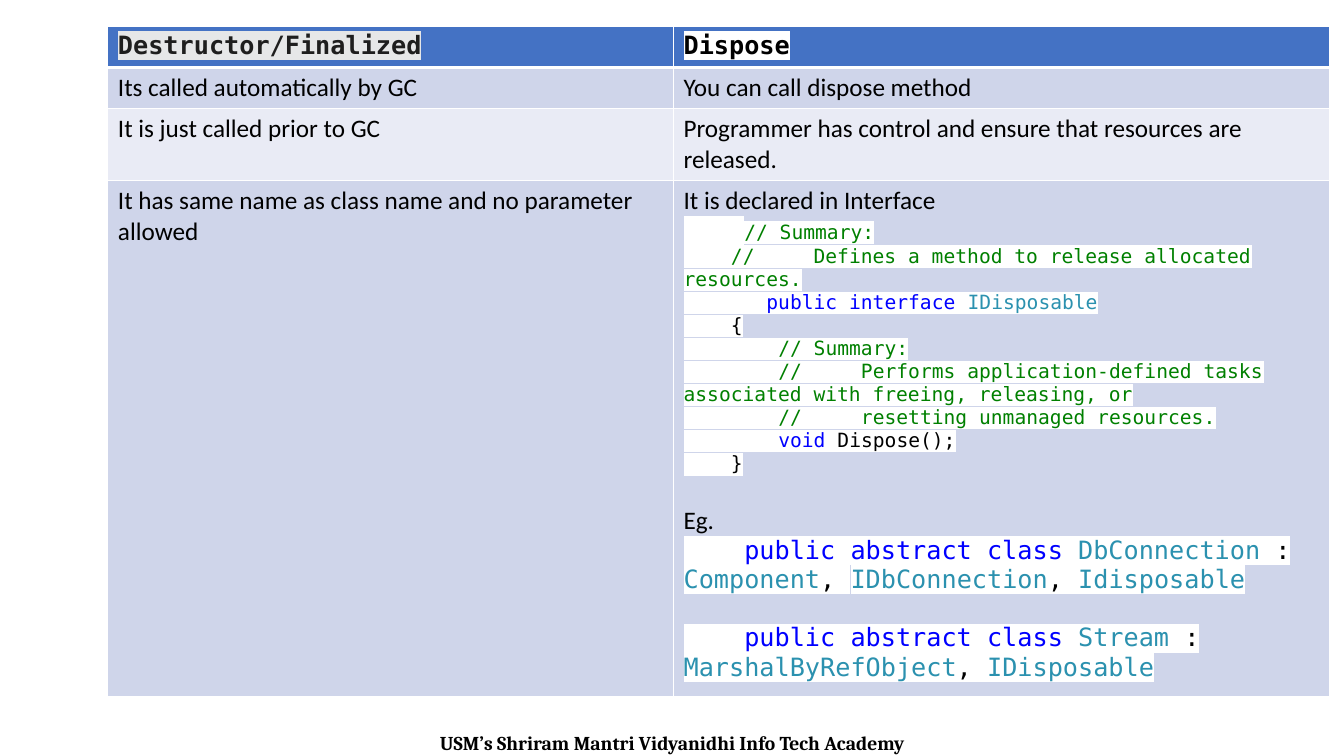
from dataclasses import dataclass
from itertools import product

from lxml import etree
from pptx import Presentation
from pptx import util as u
from pptx.dml.color import RGBColor
from pptx.enum import text
from pptx.oxml.ns import qn


@dataclass(frozen=True)
class Theme:
    body_font: str = "Calibri"
    code_font: str = "DejaVu Sans Mono"
    footer_font: str = "Cambria"
    body_size: int = 18
    code_size: int = 14
    footer_size: int = 14
    black: str = "000000"
    white: str = "FFFFFF"
    heading: str = "1E1E1E"
    heading_highlight: str = "E6E7E8"
    comment: str = "008000"
    keyword: str = "0000FF"
    type_name: str = "2B91AF"
    header_fill: str = "4472C4"
    dark_band: str = "CFD5EA"
    light_band: str = "E9EBF5"


THEME = Theme()


@dataclass(frozen=True)
class Span:
    words: str
    color: str = THEME.black
    font: str = THEME.body_font
    size: int = THEME.body_size
    bold: bool = False
    highlight: str = ""


@dataclass(frozen=True)
class Line:
    spans: list[Span]
    space_before: int = 0


def code(words: str, color: str = THEME.black, size: int = THEME.code_size) -> Span:
    return Span(words, color, THEME.code_font, size, highlight=THEME.white)


def comment(indent: int, words: str, indent_size: int = THEME.code_size) -> Line:
    return Line([code(" " * indent, size=indent_size), code(words, THEME.comment)])


def heading(words: str, color: str, highlight: str) -> list[Line]:
    return [Line([Span(words, color, THEME.code_font, bold=True, highlight=highlight)])]


def body(words: str, space_before: int = 0) -> Line:
    return Line([Span(words)], space_before)


def class_declaration(name: str, bases: list[str], space_before: int = 0) -> Line:
    parts = [("    ", THEME.black), ("public abstract class", THEME.keyword),
             (" ", THEME.black), (name, THEME.type_name)]
    for index, base in enumerate(bases):
        parts += [(", " if index else " : ", THEME.black), (base, THEME.type_name)]
    return Line([code(words, color, THEME.body_size) for words, color in parts], space_before)


DISPOSE_LINES = [
    body("It is declared in Interface"),
    comment(4, "// Summary:", THEME.body_size),
    comment(4, "//     Defines a method to release allocated resources."),
    Line([code("       "), code("public interface", THEME.keyword),
          code(" "), code("IDisposable", THEME.type_name)]),
    Line([code("    {")]),
    comment(8, "// Summary:"),
    comment(8, "//     Performs application-defined tasks associated with freeing, releasing, or"),
    comment(8, "//     resetting unmanaged resources."),
    Line([code("        "), code("void", THEME.keyword), code(" Dispose();")]),
    Line([code("    }")]),
    body("Eg.", space_before=21),
    class_declaration("DbConnection", ["Component", "IDbConnection", "Idisposable"]),
    class_declaration("Stream", ["MarshalByRefObject", "IDisposable"], space_before=21),
]

ROWS = [
    [heading("Destructor/Finalized", THEME.heading, THEME.heading_highlight),
     heading("Dispose", THEME.black, THEME.white)],
    [[body("Its called automatically by GC")], [body("You can call dispose method")]],
    [[body("It is just called prior to GC")],
     [body("Programmer has control and ensure that resources are released.")]],
    [[body("It has same name as class name and no parameter allowed")], DISPOSE_LINES],
]
ROW_FILLS = [THEME.header_fill, THEME.dark_band, THEME.light_band, THEME.dark_band]
ROW_HEIGHTS = [0.41, 0.41, 0.71, 5.11]
COLUMN_WIDTHS = [5.61, 6.51]


def write_span(para, span: Span) -> None:
    run = para.add_run()
    run.text = span.words
    run.font.name = span.font
    run.font.size = u.Pt(span.size)
    run.font.bold = span.bold
    run.font.color.rgb = RGBColor.from_string(span.color)
    if span.highlight:
        mark = etree.Element(qn("a:highlight"))
        etree.SubElement(mark, qn("a:srgbClr"), val=span.highlight)
        run.font._element.find(qn("a:solidFill")).addnext(mark)


def write_lines(frame, lines: list[Line]) -> None:
    for index, line in enumerate(lines):
        para = frame.add_paragraph() if index else frame.paragraphs[0]
        if line.space_before:
            para.space_before = u.Pt(line.space_before)
        for span in line.spans:
            write_span(para, span)


def add_border(cell, side: str, points: int) -> None:
    properties = cell._tc.get_or_add_tcPr()
    border = etree.SubElement(properties, qn(f"a:ln{side}"), w=str(u.Pt(points)))
    fill = etree.SubElement(border, qn("a:solidFill"))
    etree.SubElement(fill, qn("a:srgbClr"), val=THEME.white)


def add_comparison(page) -> None:
    table = page.shapes.add_table(
        len(ROWS), len(COLUMN_WIDTHS), u.Inches(1.07), u.Inches(0.26),
        u.Inches(sum(COLUMN_WIDTHS)), u.Inches(sum(ROW_HEIGHTS))).table
    for column, width in zip(table.columns, COLUMN_WIDTHS):
        column.width = u.Inches(width)
    for row, height in zip(table.rows, ROW_HEIGHTS):
        row.height = u.Inches(height)
    for row, column in product(range(len(ROWS)), range(len(COLUMN_WIDTHS))):
        cell = table.cell(row, column)
        write_lines(cell.text_frame, ROWS[row][column])
        heavy_side = {0: "B", 1: "T"}.get(row)
        for side in "LRTB":
            add_border(cell, side, 3 if side == heavy_side else 1)
        cell.fill.solid()
        cell.fill.fore_color.rgb = RGBColor.from_string(ROW_FILLS[row])


def add_footer(page) -> None:
    box = page.shapes.add_textbox(u.Inches(4.18), u.Inches(7.2), u.Inches(4.98), u.Inches(0.34))
    frame = box.text_frame
    frame.word_wrap = False
    frame.auto_size = text.MSO_AUTO_SIZE.SHAPE_TO_FIT_TEXT
    name = Span("USM’s Shriram Mantri Vidyanidhi Info Tech Academy",
                font=THEME.footer_font, size=THEME.footer_size, bold=True)
    write_lines(frame, [Line([name])])
    frame.paragraphs[0].alignment = text.PP_ALIGN.CENTER


def main() -> None:
    deck = Presentation()
    deck.slide_width = u.Inches(13.33)
    deck.slide_height = u.Inches(7.5)
    page = deck.slides.add_slide(deck.slide_layouts[6])
    add_footer(page)
    add_comparison(page)
    deck.save("out.pptx")


if __name__ == "__main__":
    main()
